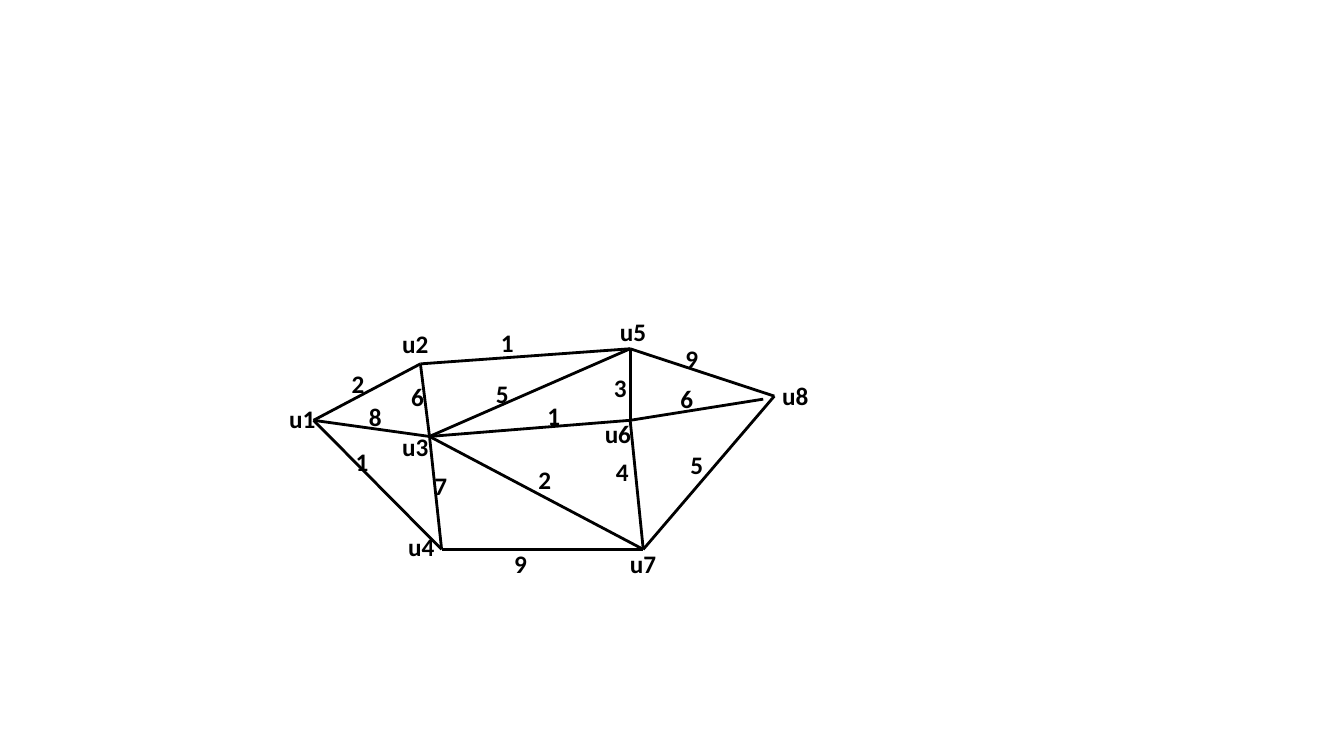
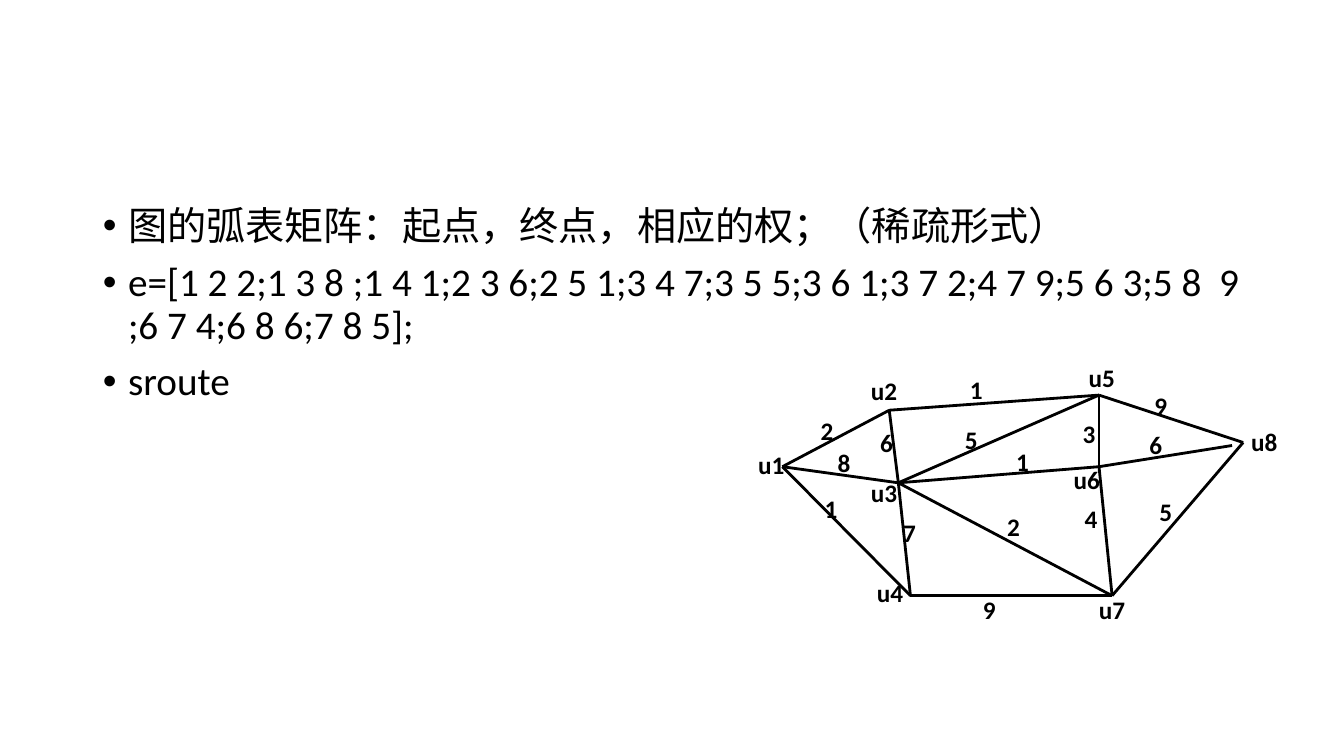
"""Builds two slides showing a weighted graph and its sparse arc matrix."""
import pptx
import pptx.dml.color
import pptx.enum.shapes
import pptx.enum.text
import pptx.oxml.ns
import pptx.util
from lxml import etree

Inches = pptx.util.Inches
Pt = pptx.util.Pt
BLACK = pptx.dml.color.RGBColor(0, 0, 0)
FONT = "Calibri"
LABEL_HEIGHT = 0.4
NODE_WIDTH = 0.47
WEIGHT_WIDTH = 0.42

NODES = {
    "u1": (3.11, 4.17), "u2": (4.17, 3.61), "u3": (4.26, 4.33), "u4": (4.38, 5.45),
    "u5": (6.25, 3.46), "u6": (6.25, 4.17), "u7": (6.38, 5.45), "u8": (7.68, 3.93),
}
NODE_LABELS = {
    "u1": (2.77, 3.95), "u2": (3.89, 3.21), "u3": (3.89, 4.23), "u4": (3.95, 5.22),
    "u5": (6.05, 3.09), "u6": (5.9, 4.1), "u7": (6.15, 5.39), "u8": (7.66, 3.72),
}
SHORT_ENDS = {("u6", "u8"): (7.57, 3.96)}
ARCS = [
    ("u1", "u2", 2, (3.39, 3.61)),
    ("u1", "u3", 8, (3.56, 3.93)),
    ("u1", "u4", 1, (3.43, 4.38)),
    ("u2", "u3", 6, (3.98, 3.73)),
    ("u2", "u5", 1, (4.87, 3.2)),
    ("u3", "u4", 7, (4.21, 4.62)),
    ("u3", "u5", 5, (4.82, 3.7)),
    ("u3", "u6", 1, (5.33, 3.92)),
    ("u3", "u7", 2, (5.24, 4.56)),
    ("u4", "u7", 9, (5, 5.39)),
    ("u5", "u6", 3, (5.99, 3.64)),
    ("u5", "u8", 9, (6.7, 3.36)),
    ("u6", "u7", 4, (6.01, 4.48)),
    ("u6", "u8", 6, (6.65, 3.75)),
    ("u7", "u8", 5, (6.75, 4.41)),
]
GRAPH_SHIFTS = [(0, 0), (4.65, 0.46)]
BULLETS = [
    "图的弧表矩阵：起点，终点，相应的权；（稀疏形式）",
    "e=[1 2 2;1 3 8 ;1 4 1;2 3 6;2 5 1;3 4 7;3 5 5;3 6 1;3 7 2;4 7 9;"
    "5 6 3;5 8  9 ;6 7 4;6 8 6;7 8 5];",
    "sroute",
]


def add_span(para, text, size, bold=False):
    span = para.add_run()
    span.text = text
    span.font.name = FONT
    span.font.size = Pt(size)
    span.font.bold = bold
    span.font.color.rgb = BLACK


def moved(point, shift):
    return [Inches(value + offset) for value, offset in zip(point, shift)]


def add_arc(page, start, end):
    line = page.shapes.add_connector(
        pptx.enum.shapes.MSO_CONNECTOR.STRAIGHT, *start, *end)
    line.line.color.rgb = BLACK
    line.line.width = Pt(2)
    etree.SubElement(line._element.spPr, pptx.oxml.ns.qn("a:effectLst"))


def add_label(page, text, corner, width):
    box = page.shapes.add_textbox(*corner, Inches(width), Inches(LABEL_HEIGHT))
    box.text_frame.word_wrap = True
    box.text_frame.auto_size = pptx.enum.text.MSO_AUTO_SIZE.SHAPE_TO_FIT_TEXT
    add_span(box.text_frame.paragraphs[0], text, 18, True)


def add_graph(page, shift):
    for start, end, _, _ in ARCS:
        finish = SHORT_ENDS.get((start, end), NODES[end])
        add_arc(page, moved(NODES[start], shift), moved(finish, shift))
    for _, _, weight, corner in ARCS:
        add_label(page, str(weight), moved(corner, shift), WEIGHT_WIDTH)
    for name, corner in NODE_LABELS.items():
        add_label(page, name, moved(corner, shift), NODE_WIDTH)


def fill_body(body):
    body.left, body.top = Inches(0.92), Inches(2)
    body.width, body.height = Inches(11.5), Inches(4.76)
    frame = body.text_frame
    frame.word_wrap = True
    frame.auto_size = pptx.enum.text.MSO_AUTO_SIZE.NONE
    for index, text in enumerate(BULLETS):
        para = frame.add_paragraph() if index else frame.paragraphs[0]
        para.line_spacing = 0.9
        para.space_before = Pt(10)
        settings = para._p.get_or_add_pPr()
        settings.set("marL", str(Inches(0.25)))
        settings.set("indent", str(Inches(-0.25)))
        etree.SubElement(settings, pptx.oxml.ns.qn("a:buFont"), typeface="Arial")
        etree.SubElement(settings, pptx.oxml.ns.qn("a:buChar"), char="•")
        add_span(para, text, 28)


def main():
    deck = pptx.Presentation()
    deck.slide_width, deck.slide_height = Inches(13.33), Inches(7.5)
    graph_page = deck.slides.add_slide(deck.slide_layouts.get_by_name("Blank"))
    matrix_page = deck.slides.add_slide(
        deck.slide_layouts.get_by_name("Title and Content"))
    title = matrix_page.shapes.title._element
    title.getparent().remove(title)
    fill_body(matrix_page.placeholders[1])
    for page, shift in zip((graph_page, matrix_page), GRAPH_SHIFTS):
        add_graph(page, shift)
    deck.save("out.pptx")


if __name__ == "__main__":
    main()
